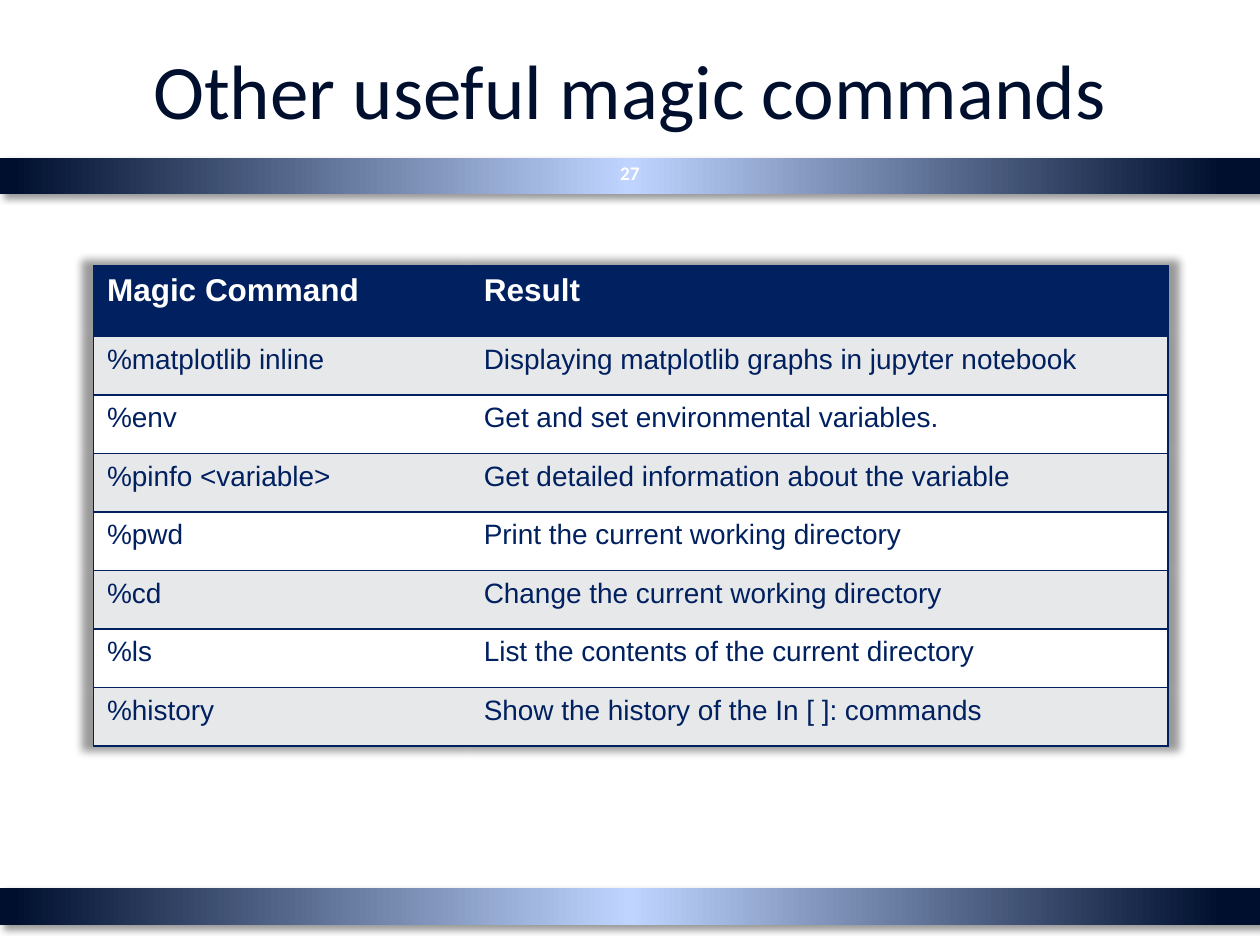
from lxml import etree
from pptx import Presentation
from pptx.dml.color import RGBColor
from pptx.enum.shapes import MSO_SHAPE
from pptx.enum.text import MSO_ANCHOR, PP_ALIGN
from pptx.oxml import parse_xml
from pptx.oxml.ns import qn
from pptx.util import Inches, Pt

RECTANGLE = MSO_SHAPE.RECTANGLE
MIDDLE, CENTER = MSO_ANCHOR.MIDDLE, PP_ALIGN.CENTER
NS = 'xmlns:a="http://schemas.openxmlformats.org/drawingml/2006/main"'
NAVY, MIDNIGHT, SKY, GREY, WHITE = "002060", "000F2E", "BFD5FF", "E7E8EA", "FFFFFF"


def format_font(font, name, size, color, bold=False):
    font.name, font.size, font.bold = name, Pt(size), bold
    font.color.rgb = RGBColor.from_string(color)


def add_shadow(effects, blur, distance, angle, opacity, extra=""):
    effects.append(parse_xml(
        f'<a:outerShdw {NS} blurRad="{Pt(blur)}" dist="{Pt(distance)}" '
        f'dir="{angle * 60000}" {extra} rotWithShape="0"><a:srgbClr val="000000">'
        f'<a:alpha val="{opacity * 1000}"/></a:srgbClr></a:outerShdw>'))


prs = Presentation()
prs.slide_width, prs.slide_height = Inches(10), Inches(7.5)
slide = prs.slides.add_slide(prs.slide_layouts[6])

# Gradient bands at the foot and under the title
for band_top in (7.05, 1.25):
    band = slide.shapes.add_shape(
        RECTANGLE, 0, Inches(band_top), prs.slide_width, Inches(0.29))
    band.line.fill.background()
    band.fill.gradient()
    band.fill.gradient_angle = 180
    stops = band._element.spPr.find(qn("a:gradFill")).find(qn("a:gsLst"))
    for stop in list(stops):
        stops.remove(stop)
    for position, color in ((0, MIDNIGHT), (3, MIDNIGHT), (50, SKY),
                            (99, MIDNIGHT), (100, MIDNIGHT)):
        stops.append(parse_xml(f'<a:gs {NS} pos="{position * 1000}">'
                               f'<a:srgbClr val="{color}"/></a:gs>'))
    band.shadow.inherit = False
    add_shadow(band._element.spPr.find(qn("a:effectLst")), 4, 3, 45, 40)

# Title and slide number
for words, area, size, color, bold in (
        ("Other useful magic commands", (0.5, 0.08, 9, 1.25), 44, MIDNIGHT, False),
        ("27", (4.79, 1.17, 0.42, 0.4), 11, WHITE, True)):
    frame = slide.shapes.add_textbox(*map(Inches, area)).text_frame
    frame.word_wrap = True
    frame.vertical_anchor = MIDDLE
    frame.text = words
    frame.paragraphs[0].alignment = CENTER
    format_font(frame.paragraphs[0].runs[0].font, "Calibri", size, color, bold)

# Table of commands
commands = [
    ("Magic Command", "Result"),
    ("%matplotlib inline", "Displaying matplotlib graphs in jupyter notebook"),
    ("%env", "Get and set environmental variables."),
    ("%pinfo <variable>", "Get detailed information about the variable"),
    ("%pwd", "Print the current working directory"),
    ("%cd", "Change the current working directory"),
    ("%ls", "List the contents of the current directory"),
    ("%history", "Show the history of the In [ ]: commands"),
]
width, height, header_height = 8.53, 3.81, 0.56
row_height = (height - header_height) / (len(commands) - 1)
table = slide.shapes.add_table(len(commands), 2, Inches(0.74), Inches(2.11),
                               Inches(width), Inches(height)).table
table.columns[0].width = Inches(2.99)
table.columns[1].width = Inches(width - 2.99)

# Soft shadow around the whole table
table_effects = etree.Element(qn("a:effectLst"))
add_shadow(table_effects, 5, 0, 0, 40, 'sx="102000" sy="102000" algn="ctr"')
table._tbl.tblPr.insert(0, table_effects)

for row, entries in enumerate(commands):
    header = row == 0
    table.rows[row].height = Inches(header_height if header else row_height)
    for column, words in enumerate(entries):
        cell = table.cell(row, column)
        cell.margin_left = cell.margin_right = Inches(0.11)
        cell.margin_top = cell.margin_bottom = Inches(0.06)
        cell.text = words
        format_font(cell.text_frame.paragraphs[0].runs[0].font, "Arial",
                    18 if header else 16, WHITE if header else NAVY, header)

        # Lines run round the table and between rows, not between columns
        outer, inner = ("L", "R") if column == 0 else ("R", "L")
        for side in "LRTB":
            line = (f'<a:solidFill><a:srgbClr val="{NAVY}"/></a:solidFill>'
                    if side != inner else "<a:noFill/>")
            cell._tc.get_or_add_tcPr().append(parse_xml(
                f'<a:ln{side} {NS} w="{Pt(1)}">{line}</a:ln{side}>'))
        cell.fill.solid()
        cell.fill.fore_color.rgb = RGBColor.from_string(
            NAVY if header else GREY if row % 2 else WHITE)

prs.save("out.pptx")
